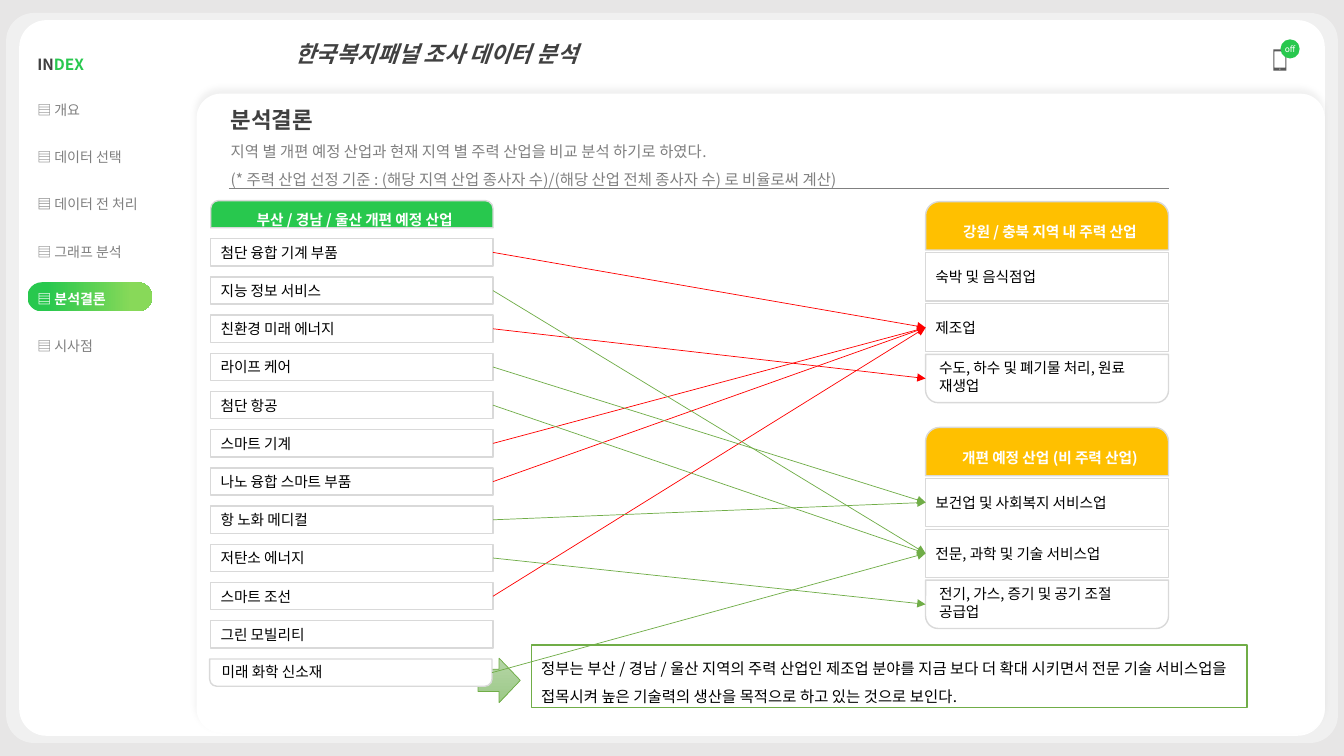
from dataclasses import dataclass
from typing import Optional

from lxml.etree import SubElement
from pptx import Presentation
from pptx.dml.color import RGBColor
from pptx.enum.shapes import MSO_CONNECTOR as Link, MSO_SHAPE as Form
from pptx.enum.text import MSO_ANCHOR as Anchor, PP_ALIGN as Align
from pptx.oxml.ns import qn
from pptx.util import Inches, Pt

FONT = "Noto Sans CJK KR"
WHITE, BLACK, DARK, GREY, PALE = "FFFFFF", "000000", "404040", "808080", "D9D9D9"
GREEN, LEAF, GOLD, RED = "28C84E", "70AD47", "FFC000", "FF0000"
TOP, MID, END = 0, 1, 2  # place of a cell in its stack


@dataclass
class Run:
    text: str
    color: Optional[str] = None
    bold: Optional[bool] = None
    size: Optional[float] = None


@dataclass
class Stack:
    left: float
    top: float
    width: float
    height: float
    step: float
    color: str
    head: str
    items: list


@dataclass
class Arrow:
    start: int  # row of the plan list
    block: int  # stack on the right
    row: int  # row in that stack


def tint(code: str) -> RGBColor:
    return RGBColor.from_string(code)


def write(para, runs: list, size: float, color: str, bold=False,
          align=Align.LEFT, space=None, italic=None) -> None:
    font = para.font
    font.name, font.size, font.bold, font.italic = FONT, Pt(size), bold, italic
    font.color.rgb = tint(color)
    SubElement(font._element, qn("a:ea"), typeface=FONT)
    para.alignment, para.line_spacing = align, space
    for item in runs:
        run = para.add_run()
        run.text = item.text
        if item.color:
            run.font.color.rgb = tint(item.color)
        if item.bold is not None:
            run.font.bold = item.bold
        if item.size:
            run.font.size = Pt(item.size)


def draw(slide, form, left: float, top: float, width: float, height: float,
         fill: str, line: Optional[str] = None, adj=()):
    shape = slide.shapes.add_shape(form, *map(Inches, (left, top, width, height)))
    shape.shadow.inherit = False
    shape.fill.solid()
    shape.fill.fore_color.rgb = tint(fill)
    if line:
        shape.line.color.rgb = tint(line)
        shape.line.width = Pt(1)
    else:
        shape.line.fill.background()
    for i, value in enumerate(adj):
        shape.adjustments[i] = value
    return shape


def blend(shape, stops: list, angle: float) -> None:
    shape.fill.gradient()
    shape.fill.gradient_angle = angle
    for stop, (spot, code) in zip(shape.fill.gradient_stops, stops):
        stop.position = spot
        stop.color.rgb = tint(code)


def shade(shape, code: str, alpha: int, **attrs: str) -> None:
    effect = shape._element.spPr.find(qn("a:effectLst"))
    outer = SubElement(effect, qn("a:outerShdw"), rotWithShape="0", **attrs)
    color = SubElement(outer, qn("a:srgbClr"), val=code)
    SubElement(color, qn("a:alpha"), val=str(alpha * 1000))


def rule(slide, start: tuple, end: tuple, color: str, width: float):
    line = slide.shapes.add_connector(Link.STRAIGHT, *map(Inches, start + end))
    line.line.color.rgb = tint(color)
    line.line.width = Pt(width)
    SubElement(line._element.spPr, qn("a:effectLst"))
    return line


def label(slide, left: float, top: float, width: float, height: float):
    frame = slide.shapes.add_textbox(*map(Inches, (left, top, width, height))).text_frame
    frame.word_wrap = True
    return frame


def cell(slide, stack: Stack, row: int, text: str, place: int):
    form = Form.RECTANGLE if place == MID else Form.ROUND_2_SAME_RECTANGLE
    adj = {TOP: (0.29, 0), MID: (), END: (0, 0.26)}[place]
    box = draw(slide, form, stack.left, stack.top + row * stack.step, stack.width,
               stack.height, stack.color if place == TOP else WHITE, PALE, adj)
    para = box.text_frame.paragraphs[0]
    if place == TOP:
        write(para, [Run(" ", size=18), Run(text)], 10.5, WHITE, True, Align.CENTER)
    else:
        write(para, [Run(text)], 10.5, BLACK)
    return box


def build(slide, stack: Stack) -> list:
    cell(slide, stack, 0, stack.head, TOP)
    last = len(stack.items)
    return [cell(slide, stack, row, text, END if row == last else MID)
            for row, text in enumerate(stack.items, 1)]


def join(slide, source, target, color: str) -> None:
    start = (source.left + source.width, source.top + source.height // 2)
    end = (target.left, target.top + target.height // 2)
    line = rule(slide, tuple(v / Inches(1) for v in start),
                tuple(v / Inches(1) for v in end), color, 0.5)
    if source.auto_shape_type == Form.RECTANGLE:
        line.begin_connect(source, 3)
    if target.auto_shape_type == Form.RECTANGLE:
        line.end_connect(target, 1)
    SubElement(line.line._get_or_add_ln(), qn("a:tailEnd"), type="triangle")


NAV = [[Run("IN", DARK, True, 11), Run("DEX", GREEN, True, 11)],
       [Run("▤ 개요")], [Run("▤ 데이터 선택")],
       [Run("▤ ", bold=True), Run("데이터 전 처리")], [Run("▤ 그래프 분석")],
       [Run("▤ 분석결론", WHITE, True)], [Run("▤ 시사점")], [], []]
PLAN = Stack(2.09, 1.99, 2.8, 0.27, 0.379, GREEN, "부산 / 경남 / 울산 개편 예정 산업", [
    "첨단 융합 기계 부품", "지능 정보 서비스", "친환경 미래 에너지", "라이프 케어",
    "첨단 항공", "스마트 기계", "나노 융합 스마트 부품", "항 노화 메디컬",
    "저탄소 에너지", "스마트 조선", "그린 모빌리티", "미래 화학 신소재"])
BLOCKS = [
    Stack(9.18, 2, 2.41, 0.48, 0.505, GOLD, "강원 / 충북 지역 내 주력 산업",
          ["숙박 및 음식점업", "제조업", "수도, 하수 및 폐기물 처리, 원료 재생업"]),
    Stack(9.18, 4.24, 2.41, 0.48, 0.505, GOLD, "개편 예정 산업 (비 주력 산업)",
          ["보건업 및 사회복지 서비스업", "전문, 과학 및 기술 서비스업",
           "전기, 가스, 증기 및 공기 조절 공급업"])]
ARROWS = [Arrow(0, 0, 1), Arrow(6, 0, 1), Arrow(9, 0, 1), Arrow(5, 0, 1),
          Arrow(3, 1, 0), Arrow(2, 0, 2), Arrow(1, 1, 1), Arrow(4, 1, 1),
          Arrow(7, 1, 0), Arrow(8, 1, 2), Arrow(11, 1, 1)]
# Phone outline, screen and button: left, top, right, bottom in 1/100 inch
PHONE = [(1263, 49, 1276, 70), (1264, 51, 1275, 67), (1269, 68, 1270, 69)]


def main() -> None:
    deck = Presentation()
    deck.slide_width, deck.slide_height = Inches(13.33), Inches(7.5)
    slide = deck.slides.add_slide(deck.slide_layouts[6])
    slide.background.fill.solid()
    slide.background.fill.fore_color.rgb = tint("E7E6E6")

    # Outer panel, active menu pill and title
    panel = draw(slide, Form.ROUNDED_RECTANGLE, 0.19, 0.2, 12.95, 7.1, WHITE, adj=[0.038])
    shade(panel, WHITE, 40, sx="102000", sy="102000", algn="ctr")
    pill = draw(slide, Form.ROUNDED_RECTANGLE, 0.27, 2.8, 1.24, 0.29, GREEN, adj=[0.5])
    blend(pill, [(0.16, GREEN), (0.84, "88D959")], 0)
    title = label(slide, 2.65, 0.35, 3.36, 0.37)
    title.word_wrap = False
    write(title.paragraphs[0], [Run("한국복지패널 조사 데이터 분석")], 16, DARK, True,
          Align.CENTER, italic=True)

    # Phone with its badge
    pen = slide.shapes.build_freeform(*PHONE[0][:2], scale=9144)
    for x, y, right, low in PHONE:
        pen.move_to(x, y)
        pen.add_line_segments([(right, y), (right, low), (x, low)])
    phone = pen.convert_to_shape()
    phone.shadow.inherit = False
    phone.fill.solid()
    phone.fill.fore_color.rgb = tint("595959")
    phone.line.fill.background()
    badge = draw(slide, Form.OVAL, 12.7, 0.39, 0.19, 0.19, GREEN).text_frame
    badge.word_wrap = False
    badge.margin_left = badge.margin_right = Inches(0.04)
    badge.margin_top = badge.margin_bottom = Inches(0.04)
    write(badge.paragraphs[0], [Run("off")], 6, WHITE, align=Align.CENTER)

    # Content panel and heading
    sheet = draw(slide, Form.ROUNDED_RECTANGLE, 1.95, 0.93, 11.19, 6.34, WHITE, adj=[0.038])
    shade(sheet, BLACK, 5, blurRad=str(Pt(4)), dist=str(Pt(3)), dir="16200000")
    rule(slide, (2.27, 1.87), (11.59, 1.87), GREY, 1)
    intro = label(slide, 2.19, 0.87, 9.4, 1.02)
    write(intro.paragraphs[0], [Run("분석결론")], 16, DARK, True, space=1.5)
    for text in ("지역 별 개편 예정 산업과 현재 지역 별 주력 산업을 비교 분석 하기로 하였다.",
                 "(* 주력 산업 선정 기준 : (해당 지역 산업 종사자 수)/(해당 산업 전체 종사자 수) 로 비율로써 계산)"):
        write(intro.add_paragraph(), [Run(text)], 11, GREY, space=1.5)

    # Menu
    menu = slide.shapes.add_table(len(NAV), 1, *map(Inches, (0.27, 0.34, 1.6, 4.2))).table
    menu.first_row = menu.horz_banding = False
    for i, runs in enumerate(NAV):
        item = menu.cell(i, 0)
        item.fill.background()
        item.vertical_anchor = Anchor.MIDDLE
        write(item.text_frame.paragraphs[0], runs, 10, GREY, space=1.5)

    # Conclusion
    note = draw(slide, Form.RECTANGLE, 5.27, 6.4, 7.1, 0.62, WHITE, LEAF).text_frame
    note.vertical_anchor = Anchor.TOP
    write(note.paragraphs[0], [Run(
        "정부는 부산 / 경남 / 울산 지역의 주력 산업인 제조업 분야를 지금 보다 더 확대 시키면서 전문 기술 "
        "서비스업을 접목시켜 높은 기술력의 생산을 목적으로 하고 있는 것으로 보인다.")],
        11, BLACK, space=1.5)
    hint = draw(slide, Form.RIGHT_ARROW, 4.74, 6.53, 0.42, 0.44, LEAF, LEAF)
    hint.line.width = Pt(0.5)
    blend(hint, [(0, "B5D5A7"), (1, "9CC987")], 270)

    # Industry lists and the arrows between them
    goals = [build(slide, block) for block in BLOCKS]
    plans = build(slide, PLAN)
    plans[-1].left = Inches(2.08)
    for arrow in ARROWS:
        join(slide, plans[arrow.start], goals[arrow.block][arrow.row],
             (RED, LEAF)[arrow.block])

    deck.save("out.pptx")


if __name__ == "__main__":
    main()
